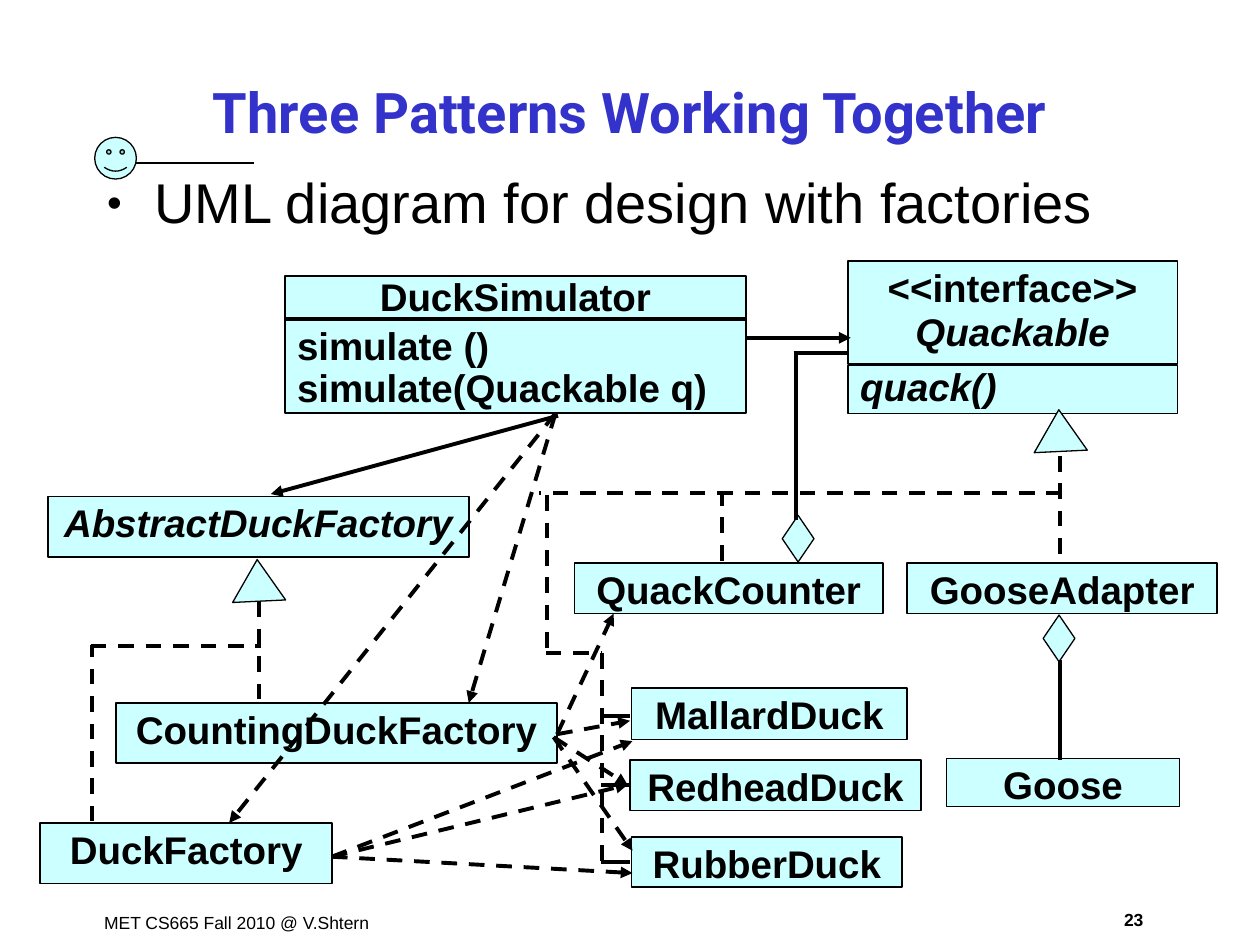
from dataclasses import dataclass

from lxml.etree import SubElement
from pptx import Presentation
from pptx.dml.color import RGBColor as RGB
from pptx.enum.dml import MSO_LINE as Dash
from pptx.enum.shapes import MSO_CONNECTOR as Link, MSO_SHAPE as Geo
from pptx.enum.text import MSO_ANCHOR as Anchor, PP_ALIGN as Align
from pptx.oxml.ns import qn
from pptx.util import Cm, Pt


@dataclass(frozen=True)
class Theme:
    ink: RGB = RGB(0x00, 0x00, 0x00)
    heading: RGB = RGB(0x33, 0x33, 0xCC)
    node: RGB = RGB(0xCC, 0xFF, 0xFF)
    heading_font: str = "Roboto"
    body_font: str = "Arial"
    large: int = 32
    label: int = 22
    small: int = 10
    symbol_line: float = 0.75
    box_line: float = 1
    link_line: float = 2.25


class UmlSlide:
    def __init__(self, deck, theme):
        self.theme = theme
        self.slide = deck.slides.add_slide(deck.slide_layouts[5])
        self.shapes = self.slide.shapes

    def style_text(self, paragraph, text, size, bold=False, italic=False,
                   align=Align.LEFT, spacing=None, before=0, color=None, face=None):
        paragraph.alignment = align
        paragraph.space_before = Pt(before)
        if spacing:
            paragraph.line_spacing = spacing
        run = paragraph.add_run()
        run.text = text
        font = run.font
        font.name = face or self.theme.body_font
        font.size = Pt(size)
        font.bold, font.italic = bold, italic
        font.color.rgb = color or self.theme.ink

    def title(self, text, place):
        heading = self.shapes.title
        heading.left, heading.top, heading.width, heading.height = map(Cm, place)
        frame = heading.text_frame
        frame.vertical_anchor = Anchor.MIDDLE
        self.style_text(frame.paragraphs[0], text, self.theme.large, bold=True,
                        align=Align.CENTER, color=self.theme.heading,
                        face=self.theme.heading_font)

    def text(self, text, place, size, **style):
        frame = self.shapes.add_textbox(*map(Cm, place)).text_frame
        frame.word_wrap = True
        self.style_text(frame.paragraphs[0], text, size, **style)
        return frame.paragraphs[0]

    def bullet(self, text, place):
        paragraph = self.text(text, place, self.theme.large, spacing=0.95)
        props = paragraph._p.get_or_add_pPr()
        props.set("marL", str(Cm(0.95)))
        props.set("indent", str(Cm(-0.95)))
        SubElement(props, qn("a:buSzPct"), val="75000")
        SubElement(props, qn("a:buFont"), typeface=self.theme.body_font)
        SubElement(props, qn("a:buChar"), char="•")

    def symbol(self, geometry, place, turn=0, width=None):
        shape = self.shapes.add_shape(geometry, *map(Cm, place))
        shape.shadow.inherit = False
        shape.fill.solid()
        shape.fill.fore_color.rgb = self.theme.node
        shape.line.color.rgb = self.theme.ink
        shape.line.width = Pt(width or self.theme.symbol_line)
        shape.rotation = turn
        return shape

    def node(self, place, *rows):
        """Each row is a label and its style; the default is centred."""
        frame = self.symbol(Geo.RECTANGLE, place,
                            width=self.theme.box_line).text_frame
        frame.word_wrap = True
        frame.vertical_anchor = Anchor.TOP
        for index, (label, style) in enumerate(rows):
            line = frame.add_paragraph() if index else frame.paragraphs[0]
            look = {"align": Align.CENTER, "spacing": 0.95, **style}
            self.style_text(line, label, self.theme.label, bold=True, **look)

    def link(self, ends, dashed=False, arrow=False, width=None):
        line = self.shapes.add_connector(Link.STRAIGHT, *map(Cm, ends))
        line.line.color.rgb = self.theme.ink
        line.line.width = Pt(width or self.theme.link_line)
        if dashed:
            line.line.dash_style = Dash.DASH
        props = line._element.spPr
        if arrow:
            SubElement(props.find(qn("a:ln")), qn("a:tailEnd"), type="triangle")
        SubElement(props, qn("a:effectLst"))


def main():
    deck = Presentation()
    deck.slide_width, deck.slide_height = Cm(25.4), Cm(19.05)
    theme = Theme()
    uml = UmlSlide(deck, theme)

    # Footer and ornament
    uml.text("MET CS665 Fall 2010 @ V.Shtern", (1.85, 18.26, 6.12, 0.69), theme.small)
    uml.text("23", (22.17, 18.19, 1.37, 0.69), theme.small, bold=True,
             align=Align.CENTER)
    smiley = uml.symbol(Geo.SMILEY_FACE, (1.91, 2.77, 0.84, 0.84))
    smiley.adjustments[0] = 0.05
    uml.link((2.74, 3.28, 5.13, 3.28), width=theme.box_line)

    # Title and opening line
    uml.title("Three Patterns Working Together", (1.91, 1.22, 21.59, 2.03))
    uml.bullet("UML diagram for design with factories", (1.91, 3.35, 21.59, 14.63))

    # Classes with members
    member = {"align": Align.LEFT, "spacing": 0.8}
    abstract = {"italic": True}
    uml.node((5.74, 5.56, 9.3, 2.77),
             ("DuckSimulator", {"spacing": 0.8}),
             ("simulate ()", {**member, "before": 6.9}),
             ("simulate(Quackable q)", {**member, "before": 2.8}))
    uml.link((5.74, 6.43, 15.06, 6.43))
    uml.node((17.09, 5.26, 6.65, 2.08), ("<<interface>>", {}), ("Quackable", abstract))
    uml.node((17.09, 7.37, 6.65, 0.97), ("quack()", {**member, **abstract}))

    # Classes with a name only
    uml.node((0.97, 10.01, 8.48, 1.22), ("AbstractDuckFactory", abstract))
    for name, place in (
        ("CountingDuckFactory", (2.34, 14.17, 8.89, 1.22)),
        ("DuckFactory", (0.81, 16.59, 5.89, 1.22)),
        ("QuackCounter", (11.58, 11.35, 6.22, 1.02)),
        ("GooseAdapter", (18.29, 11.35, 6.25, 1.02)),
        ("MallardDuck", (12.73, 13.87, 5.56, 1.04)),
        ("RedheadDuck", (12.7, 15.32, 5.87, 1.02)),
        ("RubberDuck", (12.73, 16.87, 5.46, 1.02)),
        ("Goose", (19.08, 15.29, 4.7, 0.97)),
    ):
        uml.node(place, (name, {}))

    # Inheritance triangles and aggregation diamonds
    for left, top in ((20.83, 8.26), (4.67, 11.28)):
        uml.symbol(Geo.ISOSCELES_TRIANGLE, (left, top, 1.07, 0.84), turn=357.3)
    for left, top in ((15.77, 10.39), (21.03, 12.4)):
        uml.symbol(Geo.FLOWCHART_DECISION, (left, top, 0.64, 0.94))

    # Inheritance trees below Quackable and AbstractDuckFactory
    quackable_tree = (
        (21.36, 9.19, 21.36, 11.35), (21.41, 9.93, 10.87, 9.93),
        (11.02, 9.98, 11.02, 13.23), (14.55, 11.3, 14.55, 9.91),
        (12.14, 17.35, 12.14, 13.16), (11, 13.16, 12.12, 13.16),
    )
    factory_tree = (
        (5.23, 12.12, 5.23, 14.27), (1.85, 16.56, 1.85, 13),
        (1.83, 13.03, 5.26, 13.03),
    )
    for ends in quackable_tree + factory_tree:
        uml.link(ends, dashed=True)
    for level in (14.43, 15.82, 17.37):
        uml.link((12.12, level, 12.69, level))

    # Aggregations
    for ends in ((21.36, 13.31, 21.36, 15.32), (16.05, 10.49, 16.05, 7.11),
                 (16, 7.11, 17.07, 7.11)):
        uml.link(ends)

    # Simulator associations
    for ends in ((15.04, 6.81, 17.15, 6.81), (11.25, 8.38, 5.46, 9.96)):
        uml.link(ends, arrow=True)

    # Dependencies: simulator on factories, factories on products
    dependencies = (
        ((6.69, 17.27), ((12.75, 14.94), (12.65, 15.82), (12.75, 17.6))),
        ((11.23, 14.8), ((12.37, 12.37), (12.7, 14.53))),
        ((11.16, 14.86), ((12.65, 15.82), (12.75, 17.15))),
        ((11.2, 8.33), ((9.45, 14.17), (4.62, 16.59))),
    )
    for source, targets in dependencies:
        for target in targets:
            uml.link(source + target, dashed=True, arrow=True)

    deck.save("out.pptx")


if __name__ == "__main__":
    main()
